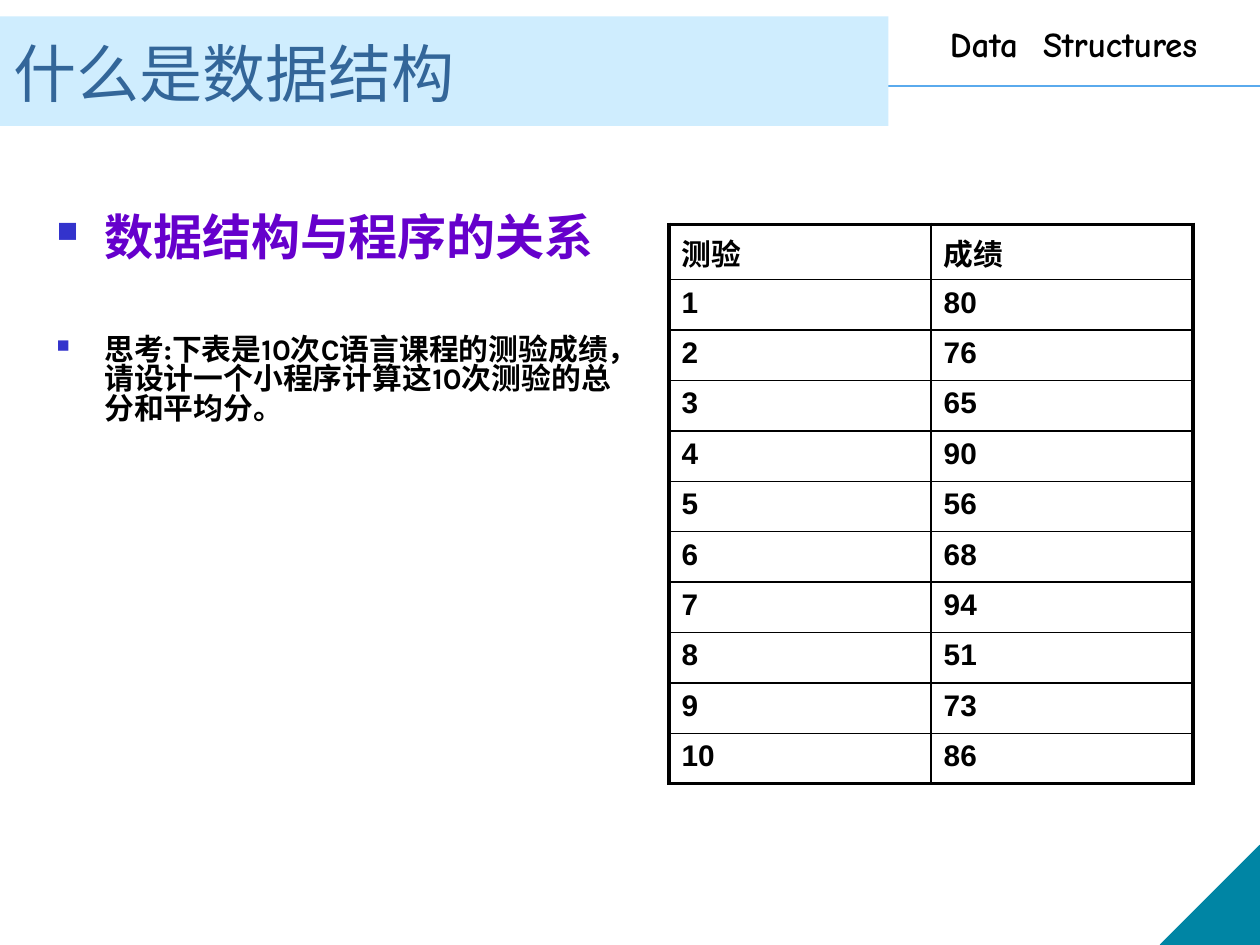
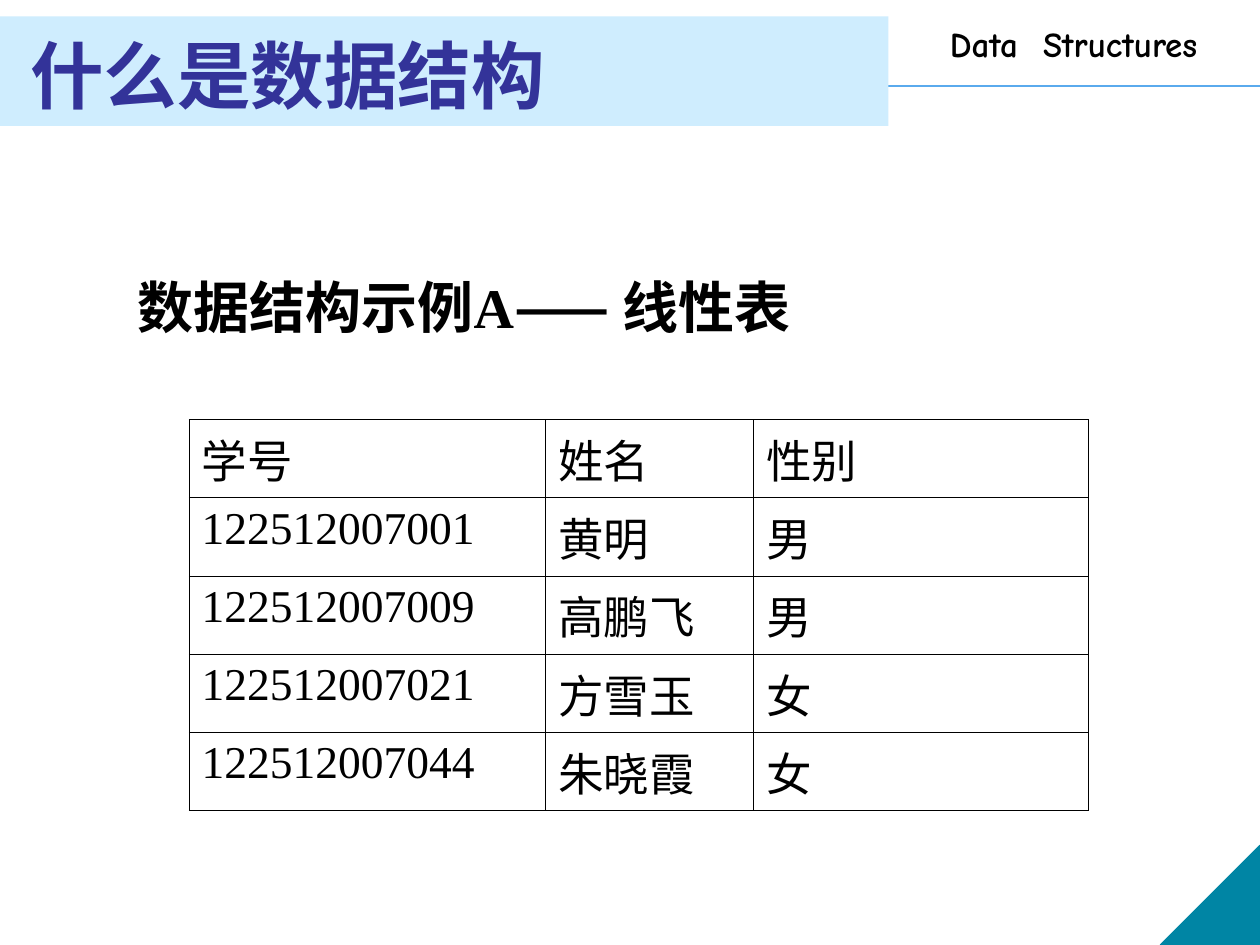
from dataclasses import dataclass

from lxml.etree import SubElement
from pptx import Presentation
from pptx.dml.color import RGBColor
from pptx.enum.shapes import MSO_CONNECTOR as Connector, MSO_SHAPE as Shape
from pptx.enum.text import MSO_ANCHOR as Anchor
from pptx.oxml.ns import qn
from pptx.util import Inches, Pt


@dataclass(frozen=True)
class Theme:
    """Colours, fonts and type sizes shared by the deck."""
    band: str = "CFEDFE"
    rule: str = "5AAAED"
    corner: str = "0085A4"
    ink: str = "000000"
    title: str = "336699"
    bold_title: str = "333399"
    topic: str = "6600CC"
    bullet: str = "3333CC"
    sans: str = "Karla"
    grid: str = "Arial"
    plain: str = "Calibri"
    serif: str = "Times New Roman"
    course: str = "Comic Neue"
    chinese: str = "Noto Sans CJK SC"
    small: int = 17
    course_size: int = 20
    record: int = 26
    topic_size: int = 28
    heading: int = 32
    title_size: int = 36
    bold_title_size: int = 42


THEME = Theme()
SCORES = [80, 76, 65, 90, 56, 68, 94, 51, 73, 86]
STUDENTS = [
    ("学号", "姓名", "性别"),
    ("122512007001", "黄明", "男"),
    ("122512007009", "高鹏飞", "男"),
    ("122512007021", "方雪玉", "女"),
    ("122512007044", "朱晓霞", "女"),
]


def rgb(value):
    """Turn a hex string into a colour."""
    return RGBColor.from_string(value)


def add_span(para, text, size, font, color=THEME.ink, bold=False):
    """Append one formatted run to a paragraph."""
    span = para.add_run()
    span.text = text
    span.font.size = Pt(size)
    span.font.name = font
    span.font.bold = bold
    span.font.color.rgb = rgb(color)
    SubElement(span.font._element, qn("a:ea"), typeface=THEME.chinese)


def add_text_box(page, box, anchor=Anchor.TOP):
    """Add a wrapping text box and return its frame."""
    frame = page.shapes.add_textbox(*map(Inches, box)).text_frame
    frame.word_wrap = True
    frame.vertical_anchor = anchor
    return frame


def add_block(page, kind, box, color):
    """Add a solid preset shape without outline or shadow."""
    block = page.shapes.add_shape(kind, *map(Inches, box))
    block.shadow.inherit = False
    block.fill.solid()
    block.fill.fore_color.rgb = rgb(color)
    block.line.fill.background()
    return block


def add_course_name(page, box):
    """Set the two words of the course name on a tab stop."""
    para = add_text_box(page, box).paragraphs[0]
    stops = SubElement(para._p.get_or_add_pPr(), qn("a:tabLst"))
    SubElement(stops, qn("a:tab"), pos=str(Inches(0.74)), algn="l")
    add_span(para, "Data\tStructures", THEME.course_size, THEME.course, bold=True)


def add_frame(page):
    """Draw the rule, corner, course name and title band."""
    rule = page.shapes.add_connector(
        Connector.STRAIGHT, 0, Inches(0.68), Inches(10), Inches(0.68))
    rule.line.color.rgb = rgb(THEME.rule)
    rule.line.width = Pt(1)
    SubElement(rule._element.spPr, qn("a:effectLst"))
    corner = add_block(page, Shape.RIGHT_TRIANGLE, (9.21, 6.71, 0.79, 0.79), THEME.corner)
    corner._element.spPr.find(qn("a:xfrm")).set("flipH", "1")
    corner.line.color.rgb = rgb(THEME.corner)
    corner.line.width = Pt(0.75)
    add_course_name(page, (7.44, 0.13, 2.6, 0.43))
    add_block(page, Shape.RECTANGLE, (0, 0.13, 7.05, 0.87), THEME.band)


def add_title(page, box, anchor, size, font, color, bold=False):
    """Write the chapter title over the band."""
    para = add_text_box(page, box, anchor).paragraphs[0]
    add_span(para, "什么是数据结构", size, font, color, bold)


def set_bullet(para):
    """Give a paragraph a small square bullet and hanging indent."""
    props = para._p.get_or_add_pPr()
    props.set("marL", str(Inches(0.38)))
    props.set("indent", str(-Inches(0.38)))
    color = SubElement(props, qn("a:buClr"))
    SubElement(color, qn("a:srgbClr"), val=THEME.bullet)
    SubElement(props, qn("a:buSzPct"), val="60000")
    SubElement(props, qn("a:buChar"), char="■")


def add_question(page, box):
    """Write the topic and the exercise as two bullets."""
    frame = add_text_box(page, box)
    topic, task = frame.paragraphs[0], frame.add_paragraph()
    for para in (topic, task):
        set_bullet(para)
    task.space_before = Pt(41)
    task.line_spacing = 0.82
    add_span(topic, "数据结构与程序的关系", THEME.topic_size, THEME.sans, THEME.topic, True)
    add_span(task, "思考:下表是10次C语言课程的测验成绩，请设计一个小程序计算这10次测验的总分和平均分。",
             THEME.small, THEME.sans, bold=True)


def set_borders(cell, widths):
    """Set the left, right, top and bottom border widths of a cell."""
    props = cell._tc.get_or_add_tcPr()
    for side, width in zip("LRTB", widths):
        edge = SubElement(props, qn(f"a:ln{side}"), w=str(Pt(width)))
        fill = SubElement(edge, qn("a:solidFill"))
        SubElement(fill, qn("a:srgbClr"), val=THEME.ink)


def add_grid(page, origin, widths, heights, rows, size, font_for, bold, inner, outer):
    """Build a ruled table with a separate weight for its outer edge."""
    left, top = origin
    box = (left, top, sum(widths), sum(heights))
    grid = page.shapes.add_table(len(rows), len(widths), *map(Inches, box)).table
    grid.first_row = grid.horz_banding = False
    for column, width in zip(grid.columns, widths):
        column.width = Inches(width)
    for r, (values, height) in enumerate(zip(rows, heights)):
        grid.rows[r].height = Inches(height)
        for c, value in enumerate(values):
            cell = grid.cell(r, c)
            at_edge = (c == 0, c == len(widths) - 1, r == 0, r == len(rows) - 1)
            set_borders(cell, [outer if edge else inner for edge in at_edge])
            cell.fill.background()
            text = str(value)
            add_span(cell.text_frame.paragraphs[0], text, size, font_for(text), bold=bold)


def add_heading(page, box):
    """Write the heading of the linear list example."""
    para = add_text_box(page, box, Anchor.MIDDLE).paragraphs[0]
    para.line_spacing = 0.9
    for text, font in (("数据结构示例", THEME.chinese), ("A", THEME.serif),
                       ("—— 线性表", THEME.chinese)):
        add_span(para, text, THEME.heading, font, bold=True)


def build_scores_page(page):
    """Build the page with the exercise and test scores."""
    add_frame(page)
    add_question(page, (0.35, 1.59, 4.72, 4.95))
    rows = [("测验", "成绩"), *enumerate(SCORES, 1)]
    add_grid(page, (5.31, 1.78), [2.08] * 2, [0.44] + [0.4] * len(SCORES), rows,
             THEME.small, lambda text: THEME.grid, True, inner=1, outer=2.25)
    add_title(page, (0.01, 0.13, 9, 0.79), Anchor.BOTTOM,
              THEME.title_size, THEME.sans, THEME.title)


def build_students_page(page):
    """Build the page with the linear list of students."""
    add_frame(page)
    add_heading(page, (0.99, 2.17, 7.54, 0.59))
    add_grid(page, (1.5, 3.33), [2.83, 1.65, 2.66], [0.62] * len(STUDENTS), STUDENTS,
             THEME.record, lambda text: THEME.serif if text.isdigit() else THEME.plain,
             False, inner=0.25, outer=0.25)
    add_title(page, (0.14, 0.19, 6.67, 0.8), Anchor.MIDDLE,
              THEME.bold_title_size, THEME.serif, THEME.bold_title, True)


def main():
    """Build and save the deck."""
    deck = Presentation()
    deck.slide_width, deck.slide_height = Inches(10), Inches(7.5)
    for build in (build_scores_page, build_students_page):
        build(deck.slides.add_slide(deck.slide_layouts[6]))
    deck.save("out.pptx")


if __name__ == "__main__":
    main()
